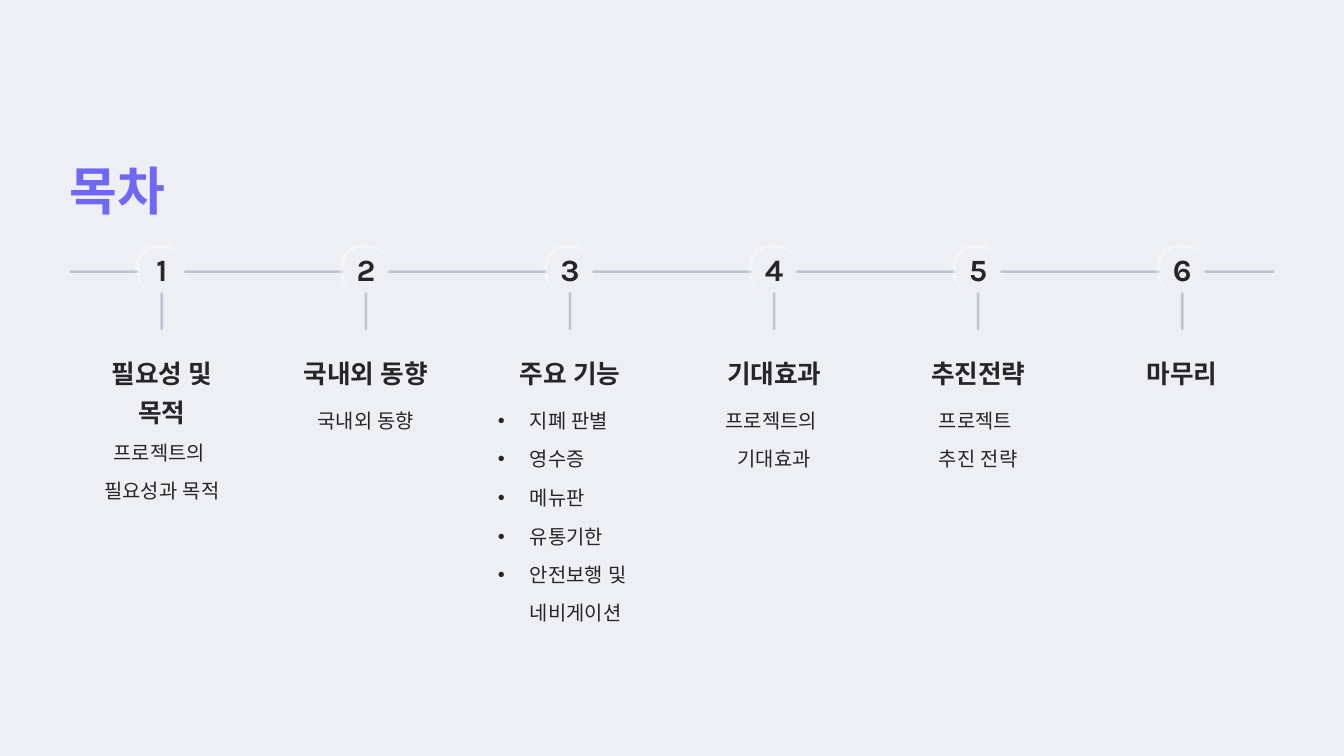
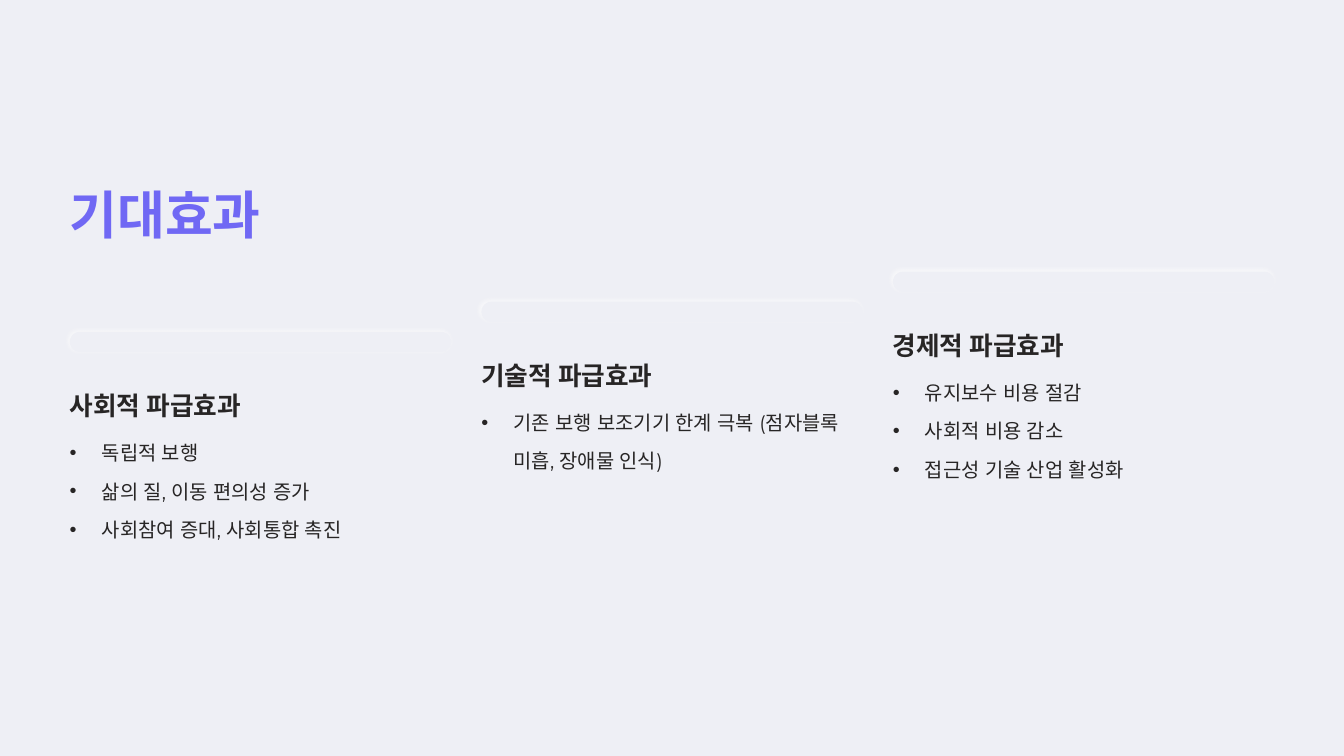
import copy
from dataclasses import dataclass

import pptx
import pptx.dml.color
import pptx.enum.shapes
import pptx.enum.text
import pptx.oxml
import pptx.oxml.ns
import pptx.util

Pt = pptx.util.Pt
LEFT = pptx.enum.text.PP_ALIGN.LEFT
CENTER = pptx.enum.text.PP_ALIGN.CENTER
TITLE_ONLY = 5


@dataclass(frozen=True)
class TextStyle:
    font: str
    size: float
    color: str
    bold: bool
    spacing: float


@dataclass(frozen=True)
class Theme:
    background: str = "EEEFF5"
    rule: str = "C1C3D0"
    highlight: str = "FFFFFF"
    ink: str = "272525"
    title: TextStyle = TextStyle("Karla", 44.5, "7068F4", True, 1.26)
    number: TextStyle = TextStyle("Karla", 26.5, "272525", True, 1.0)
    heading: TextStyle = TextStyle("Karla", 22, "272525", True, 1.27)
    body: TextStyle = TextStyle("Montserrat", 17, "272525", False, 1.59)
    margin: float = 59.8
    content_width: float = 1032.5
    heading_line: float = 28
    body_line: float = 27
    bullet_step: float = 33.1
    heading_gap: float = 10.6
    bullet_indent: float = 27.4


THEME = Theme()

# heading, heading lines, body paragraphs with their line counts, bulleted
AGENDA = [
    ("필요성 및 목적", 2, [("프로젝트의 \n필요성과 목적", 2)], False),
    ("국내외 동향", 1, [("국내외 동향", 1)], False),
    ("주요 기능", 1, [("지폐 판별", 1), ("영수증", 1), ("메뉴판", 1), ("유통기한", 1),
                  ("안전보행 및 네비게이션", 2)], True),
    ("기대효과", 1, [("프로젝트의 \n기대효과", 2)], False),
    ("추진전략", 1, [("프로젝트 \n추진 전략", 2)], False),
    ("마무리", 1, [], False),
]

EFFECTS = [
    ("사회적 파급효과", [("독립적 보행", 1), ("삶의 질, 이동 편의성 증가", 1),
                  ("사회참여 증대, 사회통합 촉진", 1)]),
    ("기술적 파급효과", [("기존 보행 보조기기 한계 극복 (점자블록 미흡, 장애물 인식)", 2)]),
    ("경제적 파급효과", [("유지보수 비용 절감", 1), ("사회적 비용 감소", 1),
                  ("접근성 기술 산업 활성화", 1)]),
]


def rgb(color):
    return pptx.dml.color.RGBColor.from_string(color)


def set_values(target, values):
    for name, value in values.items():
        setattr(target, name, value)


def drawing_element(xml):
    """Parse one element whose tag uses the a: prefix."""
    tag, rest = xml[1:].split(" ", 1)
    return pptx.oxml.parse_xml(f"<{tag} {pptx.oxml.ns.nsdecls('a')} {rest}")


def add_bullet(paragraph):
    properties = paragraph._p.get_or_add_pPr()
    indent = Pt(THEME.bullet_indent)
    properties.set("marL", str(indent))
    properties.set("indent", str(-indent))
    for xml in (
        f'<a:buClr ><a:srgbClr val="{THEME.ink}"/></a:buClr>',
        '<a:buFont typeface="Arial"/>',
        '<a:buChar char="•"/>',
    ):
        properties.append(drawing_element(xml))


def write_text(shape, text, style, alignment=LEFT, bulleted=False):
    frame = shape.text_frame
    set_values(frame, {
        "margin_left": 0, "margin_top": 0, "margin_right": 0, "margin_bottom": 0,
        "word_wrap": True,
        "auto_size": pptx.enum.text.MSO_AUTO_SIZE.NONE,
        "vertical_anchor": pptx.enum.text.MSO_ANCHOR.TOP,
    })
    paragraph = frame.paragraphs[0]
    paragraph.text = text
    set_values(paragraph, {"alignment": alignment, "line_spacing": style.spacing})
    if bulleted:
        add_bullet(paragraph)
    for run in paragraph.runs:
        set_values(run.font, {"name": style.font, "size": Pt(style.size), "bold": style.bold})
        run.font.color.rgb = rgb(style.color)
        east_asian = drawing_element(f'<a:ea typeface="{style.font}"/>')
        run.font._element.append(east_asian)
    for line_break in paragraph._p.findall(pptx.oxml.ns.qn("a:br")):
        line_break.append(copy.deepcopy(paragraph.runs[0].font._element))


def add_text(slide, box, text, style, alignment=LEFT, bulleted=False):
    shape = slide.shapes.add_textbox(*map(Pt, box))
    write_text(shape, text, style, alignment, bulleted)


def add_title(slide, text, top):
    title = slide.shapes.title
    set_values(title, {"left": Pt(THEME.margin), "top": Pt(top),
                       "width": Pt(449.3), "height": Pt(56)})
    write_text(title, text, THEME.title)


def add_rounded(slide, box, color, roundness=0.5):
    shape = slide.shapes.add_shape(
        pptx.enum.shapes.MSO_SHAPE.ROUNDED_RECTANGLE, *map(Pt, box))
    shape.adjustments[0] = roundness
    shape.fill.solid()
    shape.fill.fore_color.rgb = rgb(color)
    shape.line.fill.background()
    shape.shadow.inherit = False
    return shape


def add_raised(slide, box, roundness):
    """Add a background-coloured shape lit from the upper left."""
    shape = add_rounded(slide, box, THEME.background, roundness)
    effects = shape._element.spPr.find(pptx.oxml.ns.qn("a:effectLst"))
    effects.append(drawing_element(
        f'<a:outerShdw blurRad="{Pt(4.2)}" dist="{Pt(2.1)}" dir="{225 * 60000}" '
        f'algn="bl" rotWithShape="0"><a:srgbClr val="{THEME.highlight}">'
        '<a:alpha val="70000"/></a:srgbClr></a:outerShdw>'))


def add_body(slide, left, top, width, items, alignment, bulleted):
    for index, (text, lines) in enumerate(items):
        box = (left, top + index * THEME.bullet_step, width, lines * THEME.body_line)
        add_text(slide, box, text, THEME.body, alignment, bulleted)


def add_agenda_step(slide, number, center, step):
    heading, heading_lines, items, bulleted = step
    rule, marker, number_width, column = 2.2, 38.2, 26.6, 123.8
    add_rounded(slide, (center - rule / 2, 231.8, rule, 51), THEME.rule)
    add_raised(slide, (center - marker / 2, 212.4, marker, marker), 0.4)
    add_text(slide, (center - number_width / 2, 214.6, number_width, 33.8),
             str(number), THEME.number, CENTER)
    left, top = center - column / 2, 299.5
    height = heading_lines * THEME.heading_line
    add_text(slide, (left, top, column, height), heading, THEME.heading, CENTER)
    add_body(slide, left, top + height + THEME.heading_gap, column, items,
             LEFT if bulleted else CENTER, bulleted)


def build_agenda(slide):
    add_title(slide, "목차", 122.4)
    add_rounded(slide, (THEME.margin, 231.8, THEME.content_width, 2.2), THEME.rule)
    first_center, pitch = 138.7, 174.93
    for index, step in enumerate(AGENDA):
        add_agenda_step(slide, index + 1, first_center + index * pitch, step)


def build_effects(slide):
    add_title(slide, "기대효과", 142.6)
    width, first_top, rise = 326.9, 284.4, 25.8
    pitch = (THEME.content_width - width) / (len(EFFECTS) - 1)
    for index, (heading, items) in enumerate(EFFECTS):
        left = THEME.margin + index * pitch
        top = first_top - index * rise
        add_raised(slide, (left, top, width, 17.3), 0.5)
        heading_top = top + 42.6
        add_text(slide, (left, heading_top, 224.6, THEME.heading_line), heading, THEME.heading)
        body_top = heading_top + THEME.heading_line + THEME.heading_gap
        add_body(slide, left, body_top, width, items, LEFT, True)


def main():
    presentation = pptx.Presentation()
    set_values(presentation, {"slide_width": Pt(1152), "slide_height": Pt(648)})
    background = presentation.slide_master.background.fill
    background.solid()
    background.fore_color.rgb = rgb(THEME.background)
    for build in (build_agenda, build_effects):
        build(presentation.slides.add_slide(presentation.slide_layouts[TITLE_ONLY]))
    presentation.save("out.pptx")


if __name__ == "__main__":
    main()
